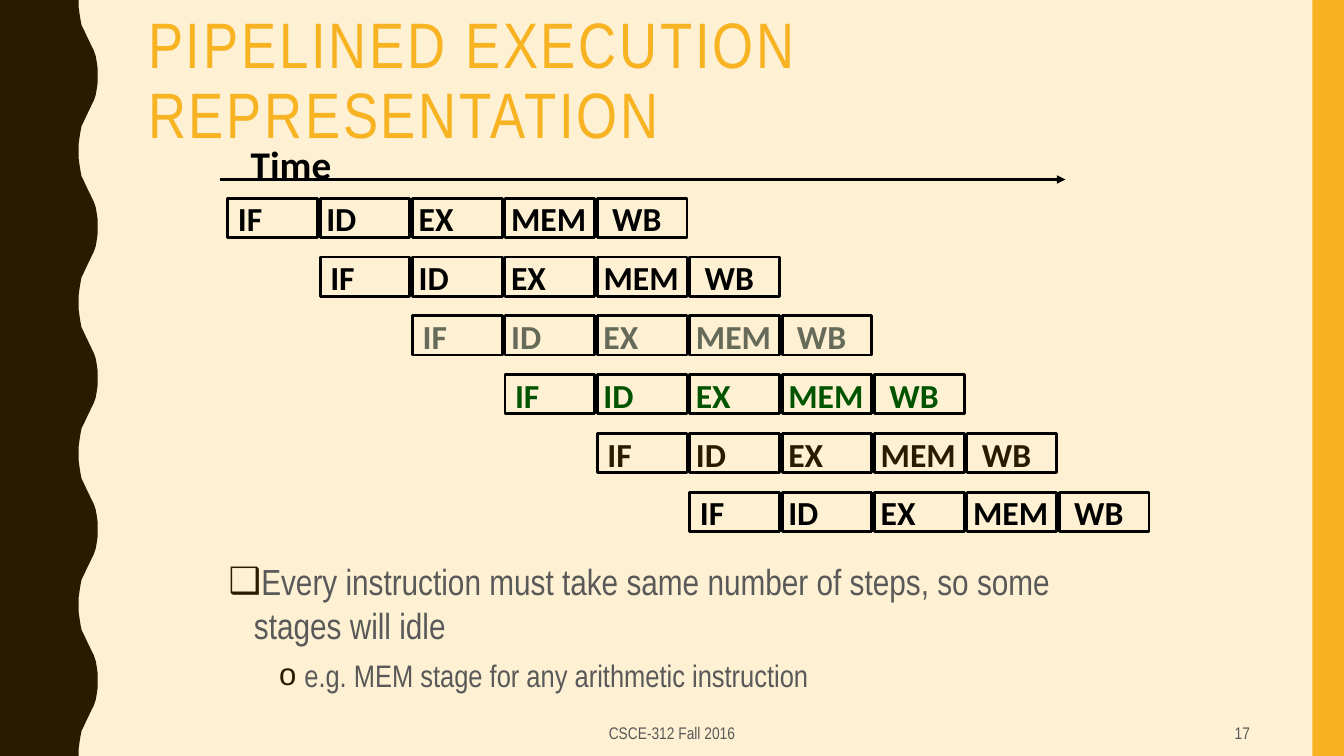
from lxml import etree
from pptx import Presentation
from pptx.dml.color import RGBColor
from pptx.enum import shapes, text
from pptx.oxml.ns import qn
from pptx.util import Pt

CREAM = RGBColor(0xFE, 0xF0, 0xD3)
BROWN = RGBColor(0x2A, 0x1A, 0x00)
GOLD = RGBColor(0xF8, 0xB3, 0x23)
GRAY = RGBColor(0x59, 0x59, 0x59)
OLIVE = RGBColor(0x65, 0x6A, 0x59)
GREEN = RGBColor(0x00, 0x54, 0x00)
BLACK = RGBColor(0x00, 0x00, 0x00)
NARROW, SANS = "Arial Narrow", "Calibri"

deck = Presentation()
deck.slide_width, deck.slide_height = Pt(960), Pt(540)
slide = deck.slides.add_slide(deck.slide_layouts[1])
slide.background.fill.solid()
slide.background.fill.fore_color.rgb = CREAM


def style(para, face, size, color, bold=False):
    for run in para.runs:
        font = run.font
        font.name, font.size, font.bold = face, Pt(size), bold
        font.color.rgb = color


def label(words, left, top, width, height, face, size, color, bold=False):
    box = slide.shapes.add_textbox(Pt(left), Pt(top), Pt(width), Pt(height))
    frame = box.text_frame
    frame.word_wrap = True
    frame.text = words
    style(frame.paragraphs[0], face, size, color, bold)
    return frame


# Wavy left edge: half a wave going out, mirrored, five times down the slide
half = [(56.2, 0), (56.2, 5), (56.9, 10), (57.6, 14.4), (58.3, 18), (59.8, 21),
        (61.2, 24), (62.6, 27), (64.1, 30), (65.5, 33), (67, 36), (68.4, 40),
        (69.1, 44), (69.8, 49), (69.8, 54)]
wave = half + [(x, 108 - y) for x, y in half[-2::-1]]
edge = [(Pt(x), Pt(y + 108 * turn)) for turn in range(5) for x, y in wave]
pen = slide.shapes.build_freeform(0, 0)
pen.add_line_segments(edge + [(0, Pt(540))], close=True)
side = pen.convert_to_shape()
bar = slide.shapes.add_shape(shapes.MSO_SHAPE.RECTANGLE,
                             Pt(937.5), 0, Pt(22.5), Pt(540))
for panel, color in ((side, BROWN), (bar, GOLD)):
    panel.shadow.inherit = False
    panel.fill.solid()
    panel.fill.fore_color.rgb = color
    panel.line.fill.background()

# Title
title = slide.shapes.title
title.left, title.top, title.width, title.height = Pt(98.6), Pt(5.8), Pt(833), Pt(57.6)
frame = title.text_frame
frame.text = "PIPELINED EXECUTION REPRESENTATION"
frame.word_wrap = True
frame.auto_size = text.MSO_AUTO_SIZE.NONE
frame.vertical_anchor = text.MSO_ANCHOR.TOP
head = frame.paragraphs[0]
head.alignment = text.PP_ALIGN.LEFT
head.line_spacing = 0.9
style(head, NARROW, 45.9, GOLD)
head.runs[0].font._element.set("spc", "200")

# Bulleted list
body = slide.placeholders[1]
body.left, body.top, body.width, body.height = Pt(156.2), Pt(396), Pt(648), Pt(109.4)
frame = body.text_frame
frame.auto_size = text.MSO_AUTO_SIZE.NONE
points = [
    ("Every instruction must take same number of steps, so some stages will idle",
     25.9, 18, "❑"),
    ("e.g. MEM stage for any arithmetic instruction", 22.2, 54, "o"),
]
frame.text = "\n".join(point[0] for point in points)
for level, (para, point) in enumerate(zip(frame.paragraphs, points)):
    words, size, indent, mark = point
    para.level = level
    para.space_before = Pt(7)
    style(para, NARROW, size, GRAY)
    props = para._p.get_or_add_pPr()
    props.set("marL", str(Pt(indent)))
    props.set("indent", str(Pt(-18)))
    tint = etree.SubElement(props, qn("a:buClr"))
    etree.SubElement(tint, qn("a:srgbClr")).set("val", str(BROWN))
    etree.SubElement(props, qn("a:buChar")).set("char", mark)

# Pipeline: each instruction starts one stage later than the one above
stages = [("IF", 0, 37.5), ("ID", -2.8, 42), ("EX", -2.8, 50),
          ("MEM", -2.8, 73), ("WB", 3.4, 60)]
inks = [BLACK, BLACK, OLIVE, GREEN, BROWN, BLACK]
for row, ink in enumerate(inks):
    top = 141.6 + 42 * row
    for col, (name, shift, width) in enumerate(stages):
        left = 162.8 + 66 * (row + col)
        cell = slide.shapes.add_shape(shapes.MSO_SHAPE.RECTANGLE,
                                      Pt(left), Pt(top), Pt(64), Pt(28))
        cell.shadow.inherit = False
        cell.fill.background()
        cell.line.color.rgb = BLACK
        cell.line.width = Pt(2)
        label(name, left + shift, top - 3.5, width, 36, SANS, 24, ink, True)

# Time axis
axis = slide.shapes.add_connector(shapes.MSO_CONNECTOR.STRAIGHT,
                                  Pt(157), Pt(128.2), Pt(761), Pt(128.2))
axis.line.color.rgb = BLACK
axis.line.width = Pt(2)
etree.SubElement(axis.line._get_or_add_ln(), qn("a:tailEnd")).set("type", "triangle")
etree.SubElement(axis._element.spPr, qn("a:effectLst"))
label("Time", 172, 96.5, 85, 41, SANS, 28, BLACK, True)

# Footer
for words, left, width, align in (
        ("CSCE-312 Fall 2016", 318, 324, text.PP_ALIGN.CENTER),
        ("17", 678, 222, text.PP_ALIGN.RIGHT)):
    foot = label(words, left, 510, width, 27, NARROW, 12, GRAY)
    foot.vertical_anchor = text.MSO_ANCHOR.MIDDLE
    foot.paragraphs[0].alignment = align

deck.save("out.pptx")
